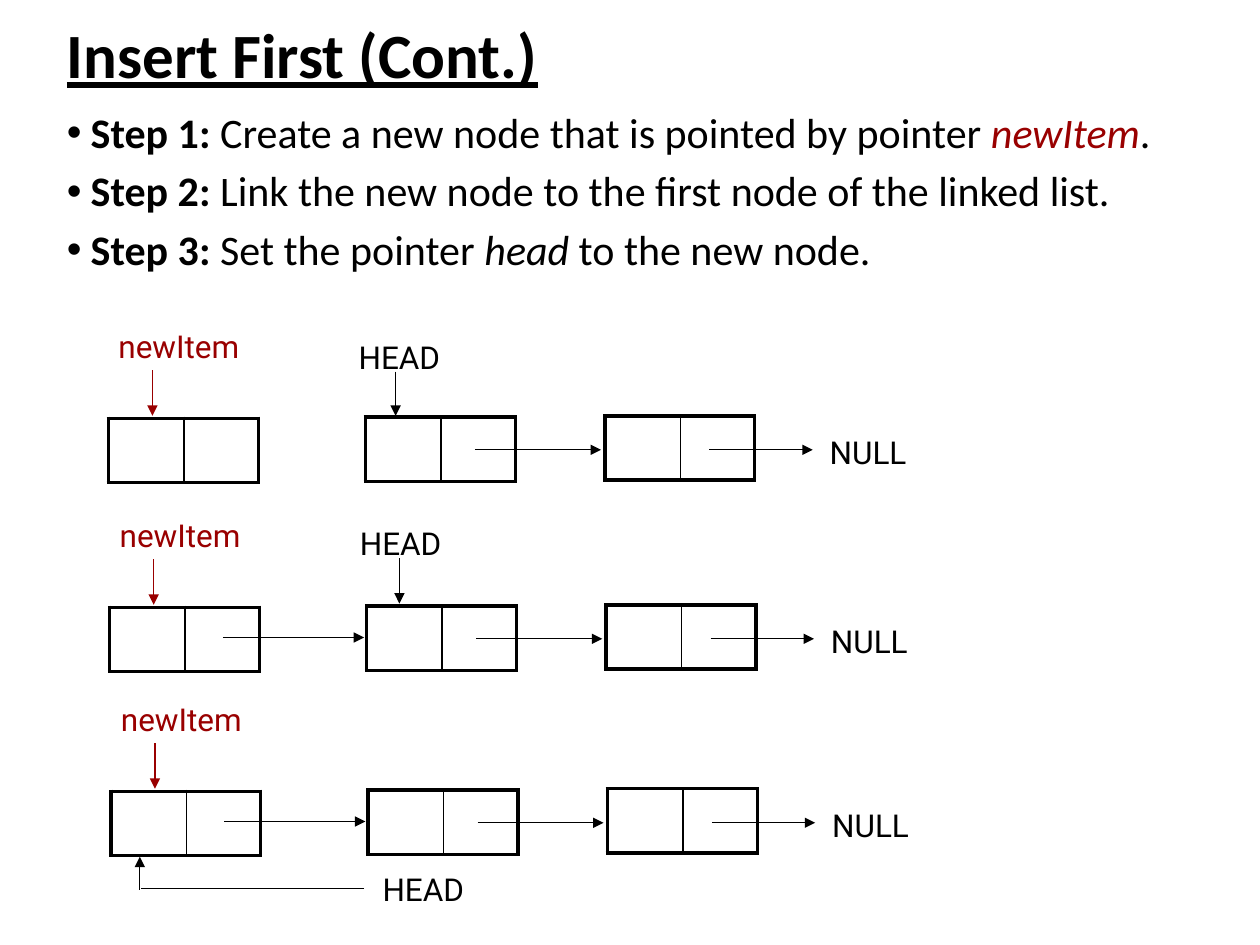
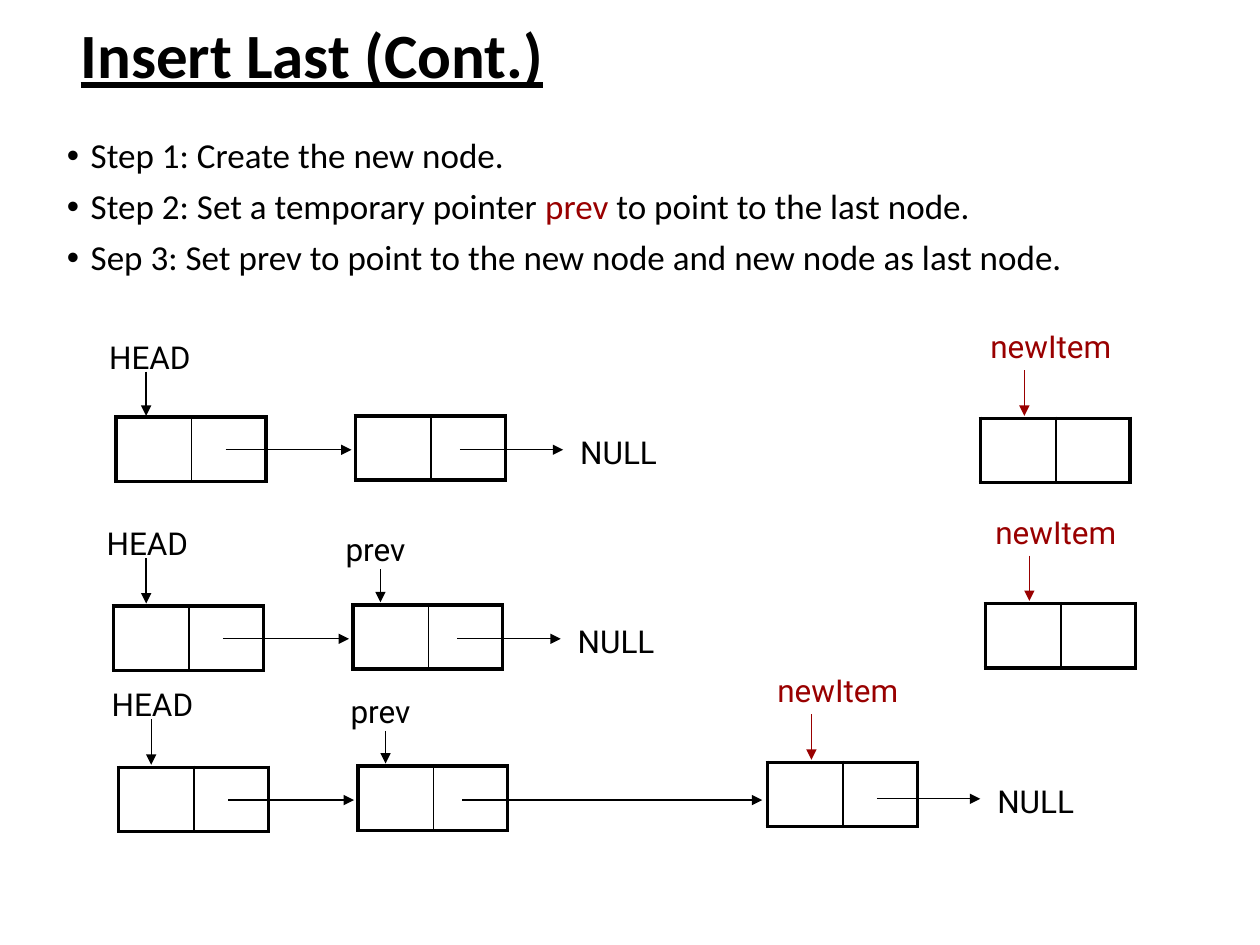
from dataclasses import dataclass
from typing import NamedTuple, Optional

from lxml.etree import SubElement
from pptx import Presentation
from pptx.dml.color import RGBColor
from pptx.enum.shapes import MSO_CONNECTOR
from pptx.enum.text import MSO_ANCHOR, MSO_AUTO_SIZE, PP_ALIGN
from pptx.oxml.ns import qn
from pptx.util import Inches, Pt

# Shared look
COLOURS = {"black": "000000", "red": "990000"}
TEXT_FONT = "Calibri"
LABEL_FONT = "Roboto"
CELL_WIDTHS = (0.6, 0.59)
NODE_HEIGHT = 0.51
LABEL_HEIGHT = 0.4
NODE_STEP = 1.9
OUTER_BORDER, INNER_BORDER = 2.25, 1


class Span(NamedTuple):
    text: str
    bold: bool = False
    italic: bool = False
    colour: str = "black"


class Marker(NamedTuple):
    """A named pointer above a node; offsets are from the node's corner."""
    text: str
    label_dx: float
    label_dy: float
    arrow_dx: float
    arrow_from: float
    arrow_to: float = -0.02
    width: float = 0.96
    colour: str = "black"


class Tail(NamedTuple):
    """The arrow that leaves a node's second cell."""
    dx: float
    dy: float
    length: float
    ends_list: bool = False


@dataclass
class Node:
    left: float
    top: float
    marker: Optional[Marker] = None
    tail: Optional[Tail] = None


@dataclass
class Lesson:
    title: str
    title_left: float
    body_top: float
    body_height: float
    size: int
    steps: list[list[Span]]
    nodes: list[Node]


NEW_ITEM = Marker("newItem", -0.11, -0.77, 0.35, -0.38, width=1.34, colour="red")
HEAD_FIRST = Marker("HEAD", -0.21, -0.68, 0.24, -0.36, -0.01)
HEAD = Marker("HEAD", -0.21, -0.70, 0.26, -0.38)
PREV = Marker("prev", -0.3, -0.64, 0.22, -0.28)

TO_NEXT = Tail(0.87, 0.26, 1)
TO_NULL = Tail(0.83, 0.27, 0.82, ends_list=True)
NEW_TO_HEAD = Tail(0.9, 0.24, 1.12)
PREV_TO_NEW = Tail(0.83, 0.27, 2.38)
NEW_TO_NULL = Tail(0.87, 0.29, 0.82, ends_list=True)


def linked_pair(left: float, top: float, first: Optional[Marker] = None,
                second: Optional[Marker] = None, last: Tail = TO_NULL) -> list[Node]:
    return [Node(left, top, first, TO_NEXT),
            Node(left + NODE_STEP, top - 0.01, second, last)]


LESSONS = [
    Lesson(
        "Insert First (Cont.)", 0.43, 0.84, 1.52, 24,
        [
            [Span("Step 1: ", bold=True),
             Span("Create a new node that is pointed by pointer "),
             Span("newItem", italic=True, colour="red"), Span(".")],
            [Span("Step 2: ", bold=True),
             Span("Link the new node to the first node of the linked list.")],
            [Span("Step 3: ", bold=True), Span("Set the pointer "),
             Span("head", italic=True), Span(" to the new node.")],
        ],
        [
            Node(0.86, 3.32, NEW_ITEM),
            *linked_pair(2.9, 3.31, HEAD_FIRST),
            Node(0.87, 4.82, NEW_ITEM, NEW_TO_HEAD),
            *linked_pair(2.91, 4.81, HEAD),
            Node(0.88, 6.28, NEW_ITEM, NEW_TO_HEAD),
            *linked_pair(2.92, 6.27),
        ],
    ),
    Lesson(
        "Insert Last (Cont.)", 0.54, 1.05, 1.44, 20,
        [
            [Span("Step 1: Create the new node.")],
            [Span("Step 2: Set a temporary pointer "), Span("prev", colour="red"),
             Span(" to point to the last node.")],
            [Span("Sep 3: Set prev to point to the new node and new node as last node.")],
        ],
        [
            *linked_pair(0.92, 3.31, HEAD_FIRST),
            Node(7.78, 3.32, NEW_ITEM),
            *linked_pair(0.9, 4.81, HEAD, PREV),
            Node(7.82, 4.79, NEW_ITEM),
            *linked_pair(0.94, 6.09, HEAD, PREV, PREV_TO_NEW),
            Node(6.09, 6.05, NEW_ITEM, NEW_TO_NULL),
        ],
    ),
]


def add_span(para, text: str, *, size: float, font: str = TEXT_FONT, colour: str = "black",
             bold: bool = False, italic: bool = False, underline: bool = False) -> None:
    span = para.add_run()
    span.text = text
    span.font.name = font
    span.font.size = Pt(size)
    span.font.bold = bold
    span.font.italic = italic
    span.font.underline = underline
    span.font.color.rgb = RGBColor.from_string(COLOURS[colour])


def place(shape, left: float, top: float, width: float, height: float) -> None:
    shape.left, shape.top = Inches(left), Inches(top)
    shape.width, shape.height = Inches(width), Inches(height)


def add_label(page, text: str, left: float, top: float,
              width: float = 0.96, colour: str = "black") -> None:
    box = page.shapes.add_textbox(Inches(left), Inches(top), Inches(width), Inches(LABEL_HEIGHT))
    box.text_frame.word_wrap = True
    para = box.text_frame.paragraphs[0]
    para.alignment = PP_ALIGN.CENTER
    add_span(para, text, size=18, font=LABEL_FONT, colour=colour)


def add_line(page, start: tuple[float, float], end: tuple[float, float],
             colour: str = "black", arrow: bool = True) -> None:
    line = page.shapes.add_connector(
        MSO_CONNECTOR.STRAIGHT, *(Inches(value) for value in (*start, *end)))
    line.line.color.rgb = RGBColor.from_string(COLOURS[colour])
    line.line.width = Pt(0.75)
    if arrow:
        SubElement(line.line._get_or_add_ln(), qn("a:tailEnd"), type="triangle")
    SubElement(line._element.spPr, qn("a:effectLst"))


def style_cell(cell, inner_side: str) -> None:
    properties = cell._tc.get_or_add_tcPr()
    for side in ("lnL", "lnR", "lnT", "lnB"):
        width = INNER_BORDER if side == inner_side else OUTER_BORDER
        border = SubElement(properties, qn(f"a:{side}"), w=str(Pt(width)))
        fill = SubElement(border, qn("a:solidFill"))
        SubElement(fill, qn("a:srgbClr"), val=COLOURS["black"])
    cell.fill.background()


def add_node(page, node: Node) -> None:
    # Two-cell node
    frame = page.shapes.add_table(1, 2, Inches(node.left), Inches(node.top),
                                  Inches(sum(CELL_WIDTHS)), Inches(NODE_HEIGHT))
    table = frame.table
    table.first_row = table.horz_banding = False
    for column, width in zip(table.columns, CELL_WIDTHS):
        column.width = Inches(width)
    style_cell(table.cell(0, 0), "lnR")
    style_cell(table.cell(0, 1), "lnL")

    # Pointer name and its arrow
    marker = node.marker
    if marker:
        add_label(page, marker.text, node.left + marker.label_dx, node.top + marker.label_dy,
                  marker.width, marker.colour)
        arrow_x = node.left + marker.arrow_dx
        add_line(page, (arrow_x, node.top + marker.arrow_from),
                 (arrow_x, node.top + marker.arrow_to), marker.colour)

    # Link to the following node or to NULL
    tail = node.tail
    if tail:
        x, y = node.left + tail.dx, node.top + tail.dy
        add_line(page, (x, y), (x + tail.length, y))
        if tail.ends_list:
            add_label(page, "NULL", x + 0.78, y - 0.18)


def add_lesson(deck, lesson: Lesson):
    page = deck.slides.add_slide(deck.slide_layouts[1])
    title, body = page.placeholders

    # Title
    place(title, lesson.title_left, 0, 9.78 - lesson.title_left, 0.92)
    title.text_frame.vertical_anchor = MSO_ANCHOR.MIDDLE
    title.text_frame.auto_size = MSO_AUTO_SIZE.NONE
    para = title.text_frame.paragraphs[0]
    para.alignment = PP_ALIGN.LEFT
    para.line_spacing = 0.9
    add_span(para, lesson.title, size=36, bold=True, underline=True)

    # Steps
    place(body, 0.43, lesson.body_top, 9.05, lesson.body_height)
    frame = body.text_frame
    frame.auto_size = MSO_AUTO_SIZE.NONE
    for index, step in enumerate(lesson.steps):
        para = frame.add_paragraph() if index else frame.paragraphs[0]
        para.line_spacing = 0.9
        para.space_before = Pt(7.5)
        properties = para._p.get_or_add_pPr()
        properties.set("marL", str(Inches(0.19)))
        properties.set("indent", str(-Inches(0.19)))
        SubElement(properties, qn("a:buChar"), char="•")
        for span in step:
            add_span(para, span.text, size=lesson.size, bold=span.bold,
                     italic=span.italic, colour=span.colour)

    # Linked lists
    for node in lesson.nodes:
        add_node(page, node)
    return page


def main() -> None:
    deck = Presentation()
    deck.slide_width, deck.slide_height = Inches(10), Inches(7.5)
    insert_first, _ = [add_lesson(deck, lesson) for lesson in LESSONS]

    # HEAD moved to the new node
    add_label(insert_first, "HEAD", 2.88, 6.86)
    add_line(insert_first, (2.89, 7.05), (1.12, 7.05), arrow=False)
    add_line(insert_first, (1.11, 7.06), (1.11, 6.8))
    deck.save("out.pptx")


if __name__ == "__main__":
    main()
